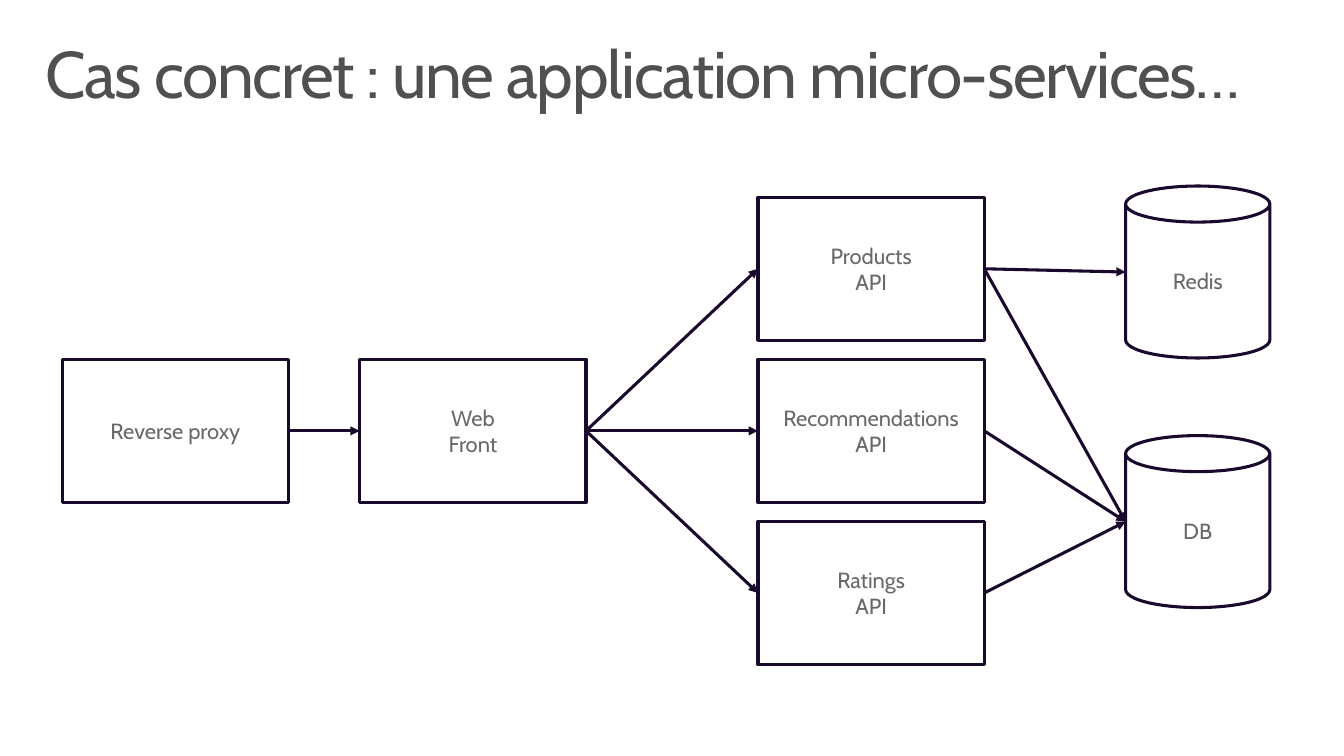
from lxml.etree import SubElement
from pptx import Presentation
from pptx.dml.color import RGBColor
from pptx.enum.shapes import MSO_CONNECTOR as Line, MSO_SHAPE as Shape
from pptx.enum.text import MSO_ANCHOR as Anchor, PP_ALIGN as Align
from pptx.oxml.ns import qn
from pptx.util import Inches, Pt

TITLE = "Cas concret : une application micro-services…"
FONT, INK, TITLE_GREY, LABEL_GREY = "Cabin", "190A2D", "505050", "696969"
WIDTH, HEIGHT = 13.6, 7.65

COLUMNS = {"proxy": 0.63, "front": 3.64, "api": 7.67, "store": 11.39}
MIDDLE, ROW = 4.36, 1.64
SIZES = {Shape.RECTANGLE: (2.29, 1.45), Shape.CAN: (1.46, 1.74)}

SERVICES = {
    "proxy": (["Reverse proxy"], Shape.RECTANGLE, "proxy", 0),
    "front": (["Web", "Front"], Shape.RECTANGLE, "front", 0),
    "products": (["Products", "API"], Shape.RECTANGLE, "api", -1),
    "recommendations": (["Recommendations API"], Shape.RECTANGLE, "api", 0),
    "ratings": (["Ratings", "API"], Shape.RECTANGLE, "api", 1),
    "redis": (["Redis"], Shape.CAN, "store", -0.98),
    "db": (["DB"], Shape.CAN, "store", 0.56),
}
CALLS = [
    ("proxy", "front"),
    ("front", "products"),
    ("front", "recommendations"),
    ("front", "ratings"),
    ("products", "redis"),
    ("products", "db"),
    ("recommendations", "db"),
    ("ratings", "db"),
]


def color(value):
    return RGBColor.from_string(value)


def style_font(font, size, value):
    font.name, font.size = FONT, Pt(size)
    font.color.rgb = color(value)


def style_line(line):
    line.color.rgb = color(INK)
    line.width = Pt(2.25)


def add_title(slide):
    title = slide.shapes.add_textbox(*map(Inches, (0.3, 0.32, 13, 1)))
    frame = title.text_frame
    frame.word_wrap = True
    frame.margin_left = frame.margin_right = Inches(0.16)
    frame.margin_top = frame.margin_bottom = Inches(0.1)
    heading = frame.paragraphs[0]
    heading.line_spacing = 0.9
    run = heading.add_run()
    run.text = TITLE
    style_font(run.font, 48, TITLE_GREY)
    run.font._element.set("spc", "-100")


def add_service(slide, labels, outline, column, row):
    width, height = SIZES[outline]
    left, center = COLUMNS[column], MIDDLE + row * ROW
    box = slide.shapes.add_shape(
        outline, *map(Inches, (left, center - height / 2, width, height)))
    box.shadow.inherit = False
    box.fill.background()
    style_line(box.line)
    frame = box.text_frame
    frame.word_wrap = True
    frame.vertical_anchor = Anchor.MIDDLE
    frame.text = "\n".join(labels)
    for label in frame.paragraphs:
        label.alignment = Align.CENTER
        style_font(label.font, 16, LABEL_GREY)
    return box


def add_call(slide, caller, callee):
    arrow = slide.shapes.add_connector(
        Line.STRAIGHT,
        caller.left + caller.width, caller.top + caller.height // 2,
        callee.left, callee.top + callee.height // 2)
    style_line(arrow.line)
    SubElement(arrow.line._get_or_add_ln(), qn("a:tailEnd"), type="triangle")
    SubElement(arrow._element.spPr, qn("a:effectLst"))


def main():
    """Draw the micro-services architecture slide."""
    deck = Presentation()
    deck.slide_width, deck.slide_height = Inches(WIDTH), Inches(HEIGHT)
    slide = deck.slides.add_slide(deck.slide_layouts[6])
    add_title(slide)
    boxes = {key: add_service(slide, *service)
             for key, service in SERVICES.items()}
    for caller, callee in CALLS:
        add_call(slide, boxes[caller], boxes[callee])
    deck.save("out.pptx")


if __name__ == "__main__":
    main()
